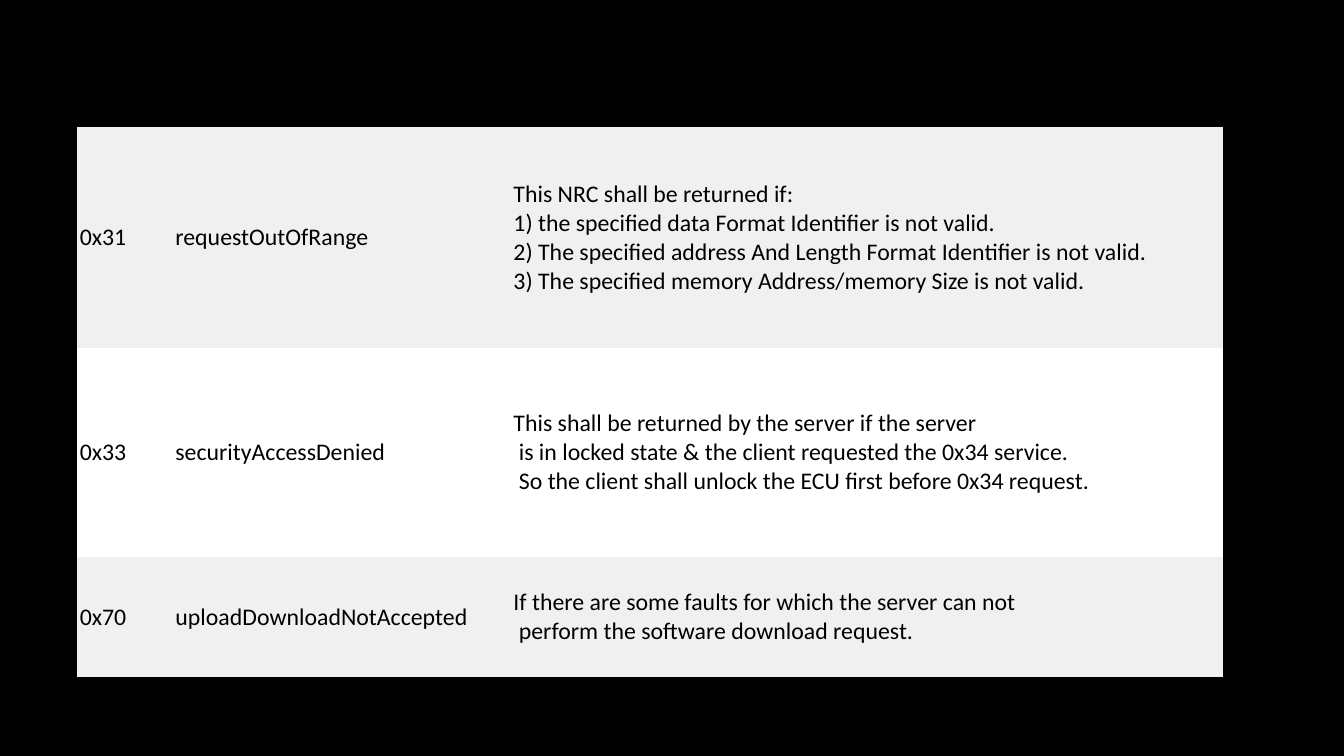
from dataclasses import dataclass

from pptx import Presentation
from pptx.dml.color import RGBColor
from pptx.enum.text import MSO_ANCHOR
from pptx.oxml.ns import qn
from pptx.util import Cm, Pt


@dataclass(frozen=True)
class Theme:
    back: RGBColor = RGBColor(0, 0, 0)
    ink: RGBColor = RGBColor(0, 0, 0)
    bands: tuple = (RGBColor(0xF0, 0xF0, 0xF0), RGBColor(0xFF, 0xFF, 0xFF))
    face: str = "Calibri"
    size: Pt = Pt(17)
    plain: str = "{2D5ABB26-0587-4C30-8999-92F81FD0307C}"


THEME = Theme()
BOX = (1.93, 3.2, 28.89, 13.85)
COLS = (2.41, 8.52, 17.96)
ROWS = (5.57, 5.27, 3.01)
CODES = (
    (
        "0x31",
        "requestOutOfRange",
        "This NRC shall be returned if:\v"
        "1) the specified data Format Identifier is not valid.\v"
        "2) The specified address And Length Format Identifier is not valid.\v"
        "3) The specified memory Address/memory Size is not valid.",
    ),
    (
        "0x33",
        "securityAccessDenied",
        "This shall be returned by the server if the server\n"
        " is in locked state & the client requested the 0x34 service.\n"
        " So the client shall unlock the ECU first before 0x34 request.",
    ),
    (
        "0x70",
        "uploadDownloadNotAccepted",
        "If there are some faults for which the server can not\n"
        " perform the software download request.",
    ),
)


def style(item, form):
    for name, value in form.items():
        setattr(item, name, value)


def fill_cell(cell, text, shade):
    sides = ("left", "right", "top", "bottom")
    form = {f"margin_{side}": Cm(0.08) for side in sides}
    style(cell, {"text": text, "vertical_anchor": MSO_ANCHOR.MIDDLE, **form})
    cell.fill.solid()
    cell.fill.fore_color.rgb = shade
    for para in cell.text_frame.paragraphs:
        for run in para.runs:
            style(run.font, {"name": THEME.face, "size": THEME.size})
            run.font.color.rgb = THEME.ink


def add_codes(slide, box):
    frame = slide.shapes.add_table(len(ROWS), len(COLS), *map(Cm, box))
    table = frame.table
    style(table, {"first_row": False, "horz_banding": False})
    table._tbl.tblPr.find(qn("a:tableStyleId")).text = THEME.plain
    for col, part in zip(table.columns, COLS):
        col.width = Cm(box[2] * part / sum(COLS))
    for row, part in zip(table.rows, ROWS):
        row.height = Cm(box[3] * part / sum(ROWS))
    for index, (row, texts) in enumerate(zip(table.rows, CODES)):
        for cell, text in zip(row.cells, texts):
            fill_cell(cell, text, THEME.bands[index % 2])


def main():
    deck = Presentation()
    style(deck, {"slide_width": Cm(33.87), "slide_height": Cm(19.05)})
    slide = deck.slides.add_slide(deck.slide_layouts[6])
    slide.background.fill.solid()
    slide.background.fill.fore_color.rgb = THEME.back
    add_codes(slide, BOX)
    deck.save("out.pptx")


if __name__ == "__main__":
    main()
